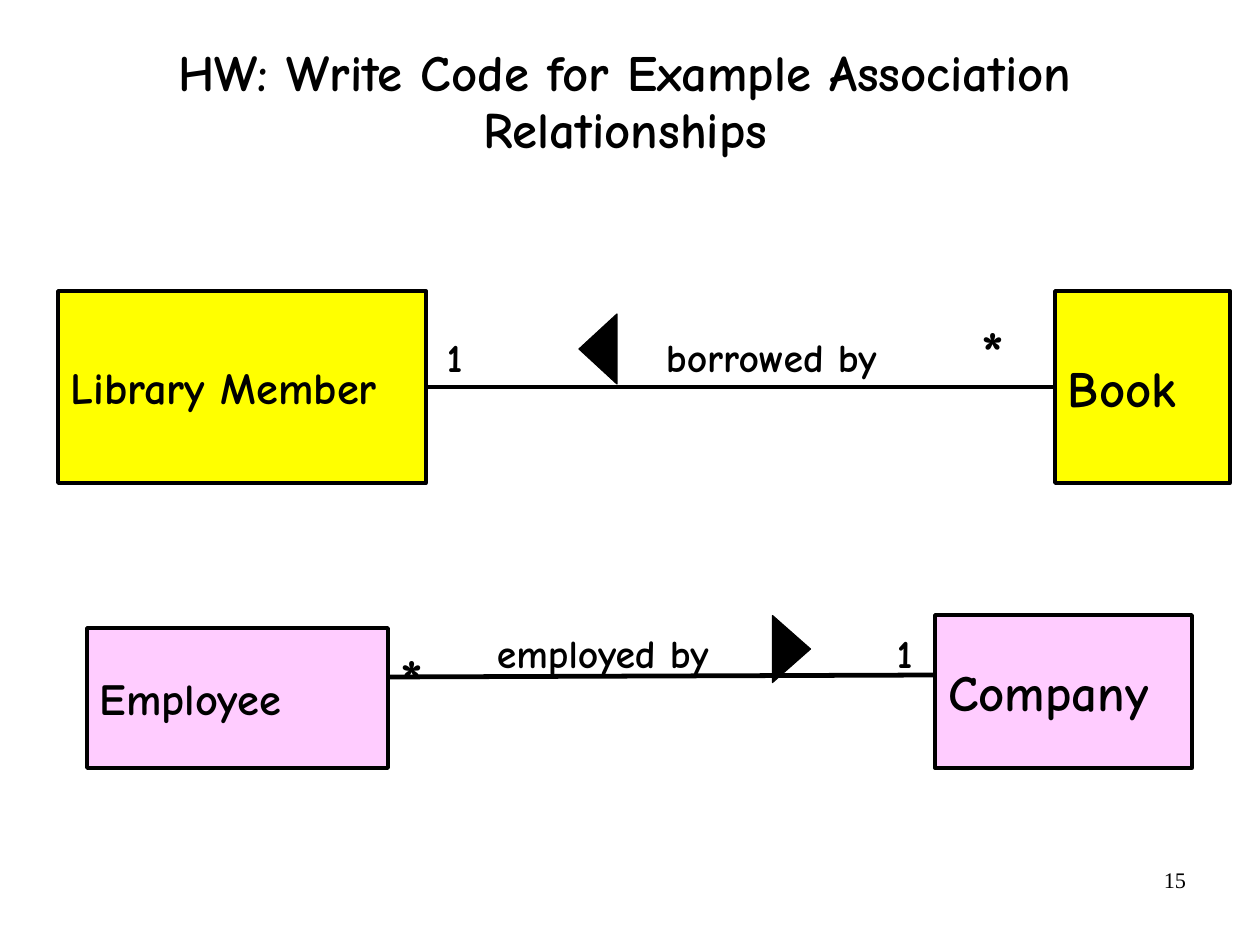
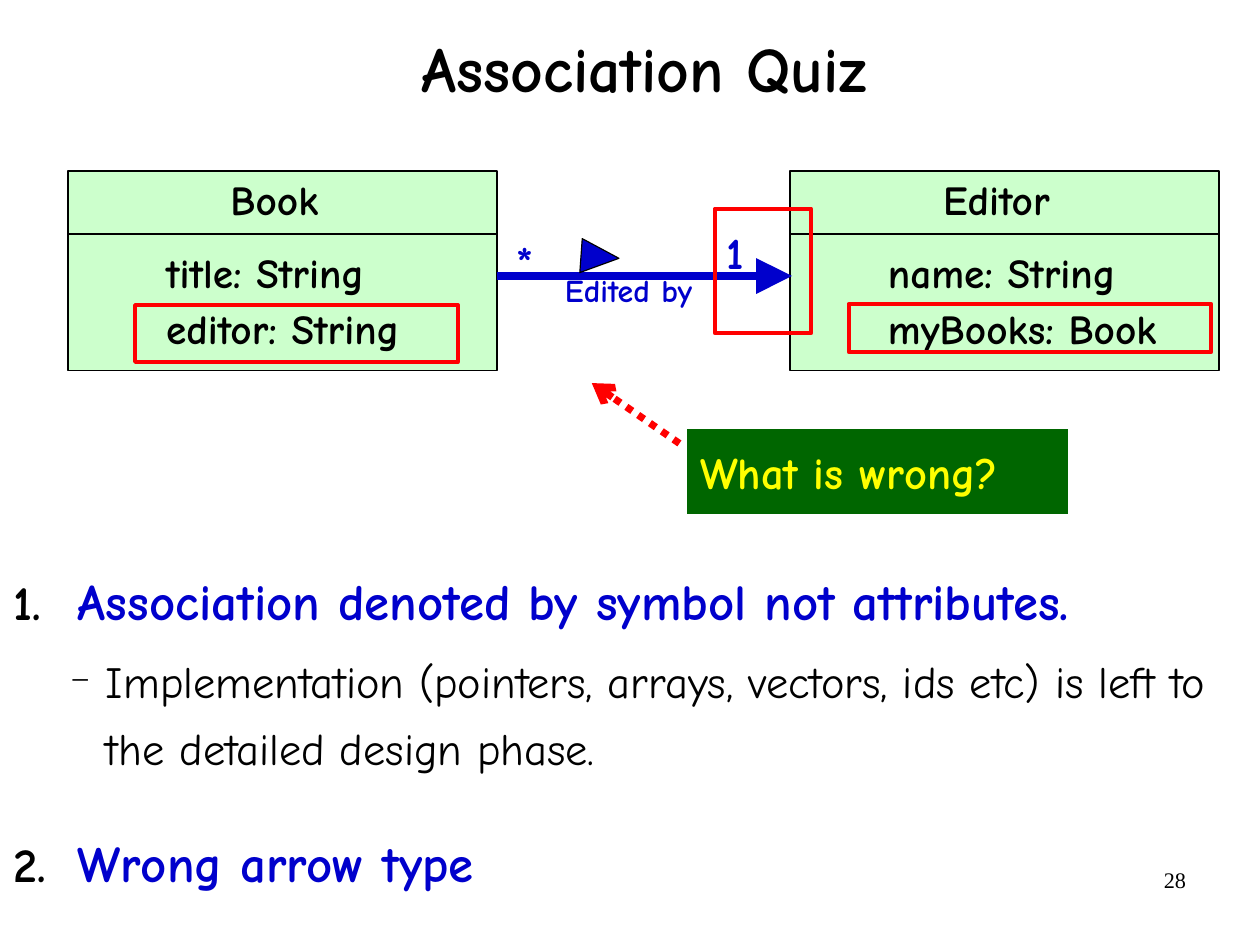
from dataclasses import dataclass
from typing import Optional

from lxml.etree import SubElement
from pptx import Presentation
from pptx.dml.color import RGBColor
from pptx.enum.dml import MSO_LINE
from pptx.enum.shapes import MSO_CONNECTOR, MSO_SHAPE
from pptx.enum.text import MSO_ANCHOR, PP_ALIGN
from pptx.oxml.ns import qn
from pptx.util import Emu, Pt

EMU_PER_PX = 8000
BLACK = RGBColor(0x00, 0x00, 0x00)
YELLOW = RGBColor(0xFF, 0xFF, 0x00)
PINK = RGBColor(0xFF, 0xCC, 0xFF)
MINT = RGBColor(0xCC, 0xFF, 0xCC)
BLUE = RGBColor(0x00, 0x00, 0xCC)
RED = RGBColor(0xFF, 0x00, 0x00)
DARK_GREEN = RGBColor(0x00, 0x66, 0x00)
HEADING_FONT = "Comic Neue"
NUMBER_FONT = "Times New Roman"
NO_INSET = (0, 0)
TIGHT_INSET = (11, 6)
BOX_INSET = (13, 7)


@dataclass(frozen=True)
class Box:
    left: int
    top: int
    width: int
    height: int


@dataclass(frozen=True)
class Style:
    size: float
    color: RGBColor = BLACK
    bold: bool = True
    font: str = HEADING_FONT
    align: PP_ALIGN = PP_ALIGN.LEFT
    spacing: float = 1.0


@dataclass(frozen=True)
class Label:
    text: str
    box: Box
    style: Style
    inset: tuple[int, int] = NO_INSET
    anchor: MSO_ANCHOR = MSO_ANCHOR.TOP


@dataclass(frozen=True)
class Block:
    box: Box
    fill: Optional[RGBColor]
    line: RGBColor = BLACK
    line_width: float = 0.75
    kind: MSO_SHAPE = MSO_SHAPE.RECTANGLE
    rotation: float = 0
    text: str = ""
    size: float = 28
    text_color: RGBColor = BLACK


@dataclass(frozen=True)
class Line:
    start: tuple[int, int]
    end: tuple[int, int]
    color: RGBColor = BLACK
    width: float = 0.75


@dataclass(frozen=True)
class UmlClass:
    left: int
    name: str
    attributes: tuple[str, ...]


@dataclass(frozen=True)
class Point:
    text: str
    style: Style
    level: int
    margin: int
    indent: int
    bullet: str
    bullet_size: int
    before: int = 0
    after: int = 0


MULTIPLICITY = Style(25)
MANY = Style(38)
MEMBER = Style(26)
BLUE_MARK = Style(28, BLUE, spacing=0.8)
NUMBERED = "arabicPeriod"


def px(value: int) -> Emu:
    return Emu(value * EMU_PER_PX)


def place(box: Box) -> tuple[Emu, Emu, Emu, Emu]:
    return px(box.left), px(box.top), px(box.width), px(box.height)


def style_paragraph(paragraph, style: Style) -> None:
    paragraph.alignment = style.align
    paragraph.line_spacing = style.spacing
    font = paragraph.font
    font.name = style.font
    font.size = Pt(style.size)
    font.bold = style.bold
    font.color.rgb = style.color


def set_frame(frame, inset: tuple[int, int], anchor: MSO_ANCHOR) -> None:
    frame.word_wrap = True
    frame.vertical_anchor = anchor
    frame.margin_left = frame.margin_right = px(inset[0])
    frame.margin_top = frame.margin_bottom = px(inset[1])


def write(frame, text: str, style: Style, inset: tuple[int, int], anchor: MSO_ANCHOR) -> None:
    set_frame(frame, inset, anchor)
    paragraph = frame.paragraphs[0]
    paragraph.text = text
    style_paragraph(paragraph, style)


def add_label(slide, label: Label) -> None:
    shape = slide.shapes.add_textbox(*place(label.box))
    write(shape.text_frame, label.text, label.style, label.inset, label.anchor)


def add_title(slide, text: str, box: Box, size: float, spacing: float) -> None:
    style = Style(size, align=PP_ALIGN.CENTER, spacing=spacing)
    add_label(slide, Label(text, box, style, anchor=MSO_ANCHOR.MIDDLE))


def add_slide(presentation, number: int):
    slide = presentation.slides.add_slide(presentation.slide_layouts[6])
    style = Style(14, bold=False, font=NUMBER_FONT, align=PP_ALIGN.RIGHT)
    add_label(slide, Label(str(number), Box(903, 860, 294, 65), style, TIGHT_INSET))
    return slide


def add_block(slide, block: Block):
    shape = slide.shapes.add_shape(block.kind, *place(block.box))
    shape.shadow.inherit = False
    shape.rotation = block.rotation
    if block.fill is None:
        shape.fill.background()
    else:
        shape.fill.solid()
        shape.fill.fore_color.rgb = block.fill
    shape.line.color.rgb = block.line
    shape.line.width = Pt(block.line_width)
    if block.text:
        style = Style(block.size, block.text_color)
        write(shape.text_frame, block.text, style, BOX_INSET, MSO_ANCHOR.MIDDLE)
    return shape


def add_line(slide, line: Line):
    connector = slide.shapes.add_connector(
        MSO_CONNECTOR.STRAIGHT, *map(px, line.start + line.end)
    )
    connector.line.color.rgb = line.color
    connector.line.width = Pt(line.width)
    SubElement(connector.element.spPr, qn("a:effectLst"))
    return connector


def add_arrowhead(shape, kind: str, size: str = "med") -> None:
    outline = shape.element.spPr.find(qn("a:ln"))
    SubElement(outline, qn("a:tailEnd"), type=kind, w=size, len=size)


def add_uml_class(slide, uml: UmlClass) -> None:
    add_block(slide, Block(Box(uml.left, 171, 429, 200), MINT))
    header = Style(26, align=PP_ALIGN.CENTER)
    add_label(slide, Label(uml.name, Box(uml.left, 167, 413, 63), header, BOX_INSET))
    for row, attribute in enumerate(uml.attributes):
        box = Box(uml.left + 85, 240 + 56 * row, 320, 63)
        add_label(slide, Label(attribute, box, MEMBER, BOX_INSET))
    add_line(slide, Line((uml.left, 234), (uml.left + 430, 234)))


def add_points(slide, box: Box, points: list[Point]) -> None:
    frame = slide.shapes.add_textbox(*place(box)).text_frame
    set_frame(frame, NO_INSET, MSO_ANCHOR.TOP)
    for index, point in enumerate(points):
        paragraph = frame.add_paragraph() if index else frame.paragraphs[0]
        paragraph.text = point.text
        paragraph.level = point.level
        properties = paragraph._p.get_or_add_pPr()
        properties.set("marL", str(px(point.margin)))
        properties.set("indent", str(px(point.indent)))
        color = SubElement(properties, qn("a:buClr"))
        SubElement(color, qn("a:srgbClr"), val=str(BLACK))
        SubElement(properties, qn("a:buSzPct"), val=str(point.bullet_size * 1000))
        if point.bullet == NUMBERED:
            SubElement(properties, qn("a:buAutoNum"), type=NUMBERED)
        else:
            SubElement(properties, qn("a:buFont"), typeface=NUMBER_FONT)
            SubElement(properties, qn("a:buChar"), char=point.bullet)
        paragraph.space_before = Pt(point.before)
        paragraph.space_after = Pt(point.after)
        style_paragraph(paragraph, point.style)


def build_homework(presentation) -> None:
    slide = add_slide(presentation, 15)
    add_title(slide, "HW: Write Code for Example Association Relationships",
              Box(40, 0, 1171, 206), 32, 0.94)
    member, book, _, _ = [
        add_block(slide, Block(box, fill, line_width=2.25, text=text, size=size))
        for text, box, fill, size in (
            ("Library Member", Box(58, 291, 368, 192), YELLOW, 28),
            ("Book", Box(1055, 291, 175, 192), YELLOW, 32),
            ("Employee", Box(87, 628, 301, 140), PINK, 28),
            ("Company", Box(935, 615, 257, 153), PINK, 32),
        )
    ]
    borrowing = add_line(slide, Line((426, 387), (1055, 387), width=3))
    borrowing.begin_connect(member, 3)
    borrowing.end_connect(book, 1)
    add_line(slide, Line((388, 677), (935, 675), width=3))
    for box, rotation in ((Box(563, 330, 70, 38), 270), (Box(758, 630, 67, 38), 90)):
        add_block(slide, Block(box, BLACK, kind=MSO_SHAPE.ISOSCELES_TRIANGLE,
                               rotation=rotation))
    for text, box, style in (
        ("1", Box(447, 333, 24, 48), MULTIPLICITY),
        ("*", Box(981, 314, 32, 72), MANY),
        ("borrowed by", Box(666, 333, 271, 48), MULTIPLICITY),
        ("1", Box(897, 629, 24, 48), MULTIPLICITY),
        ("*", Box(401, 642, 32, 72), MANY),
        ("employed by", Box(497, 629, 271, 48), MULTIPLICITY),
    ):
        add_label(slide, Label(text, box, style))


def build_quiz(presentation) -> None:
    slide = add_slide(presentation, 28)
    add_title(slide, "Association Quiz", Box(107, 0, 1074, 145), 40, 0.88)
    add_points(slide, Box(0, 558, 1260, 286), [
        Point("Association denoted by symbol not attributes.",
              Style(32, BLUE, spacing=1.2), 0, 78, -64, NUMBERED, 95),
        Point("Implementation (pointers, arrays, vectors, ids etc) is left to "
              "the detailed design phase.",
              Style(28, bold=False, spacing=1.25), 1, 106, -35, "−", 75, 6, 15),
        Point("Wrong arrow type",
              Style(32, BLUE, spacing=1.25), 0, 78, -64, NUMBERED, 95, 12, 15),
    ])
    callout = add_block(slide, Block(
        Box(687, 429, 381, 85), DARK_GREEN, RED, 4.5,
        MSO_SHAPE.LINE_CALLOUT_1_NO_BORDER,
        text="What is wrong?", text_color=YELLOW,
    ))
    for index, value in enumerate((0.17, -0.02, -0.54, -0.25)):
        callout.adjustments[index] = value
    callout.line.dash_style = MSO_LINE.ROUND_DOT
    add_arrowhead(callout, "arrow")
    for uml in (
        UmlClass(68, "Book", ("title: String", "editor: String")),
        UmlClass(790, "Editor", ("name: String", "myBooks: Book")),
    ):
        add_uml_class(slide, uml)
    edited_by = add_line(slide, Line((497, 276), (792, 276), BLUE, 4.5))
    add_arrowhead(edited_by, "triangle", "lg")
    for text, box, style in (
        ("*", Box(506, 238, 47, 54), BLUE_MARK),
        ("1", Box(716, 229, 50, 54), BLUE_MARK),
        ("Edited by", Box(554, 272, 294, 42), Style(20, BLUE, spacing=0.8)),
    ):
        add_label(slide, Label(text, box, style, TIGHT_INSET))
    for box, width in (
        (Box(135, 305, 323, 57), 2.25),
        (Box(849, 304, 362, 48), 3),
        (Box(715, 209, 96, 124), 3),
    ):
        add_block(slide, Block(box, None, RED, width))
    add_block(slide, Block(Box(583, 238, 34, 38), BLUE,
                           kind=MSO_SHAPE.ISOSCELES_TRIANGLE, rotation=94.1))


def main() -> None:
    presentation = Presentation()
    presentation.slide_width = px(1260)
    presentation.slide_height = px(945)
    build_homework(presentation)
    build_quiz(presentation)
    presentation.save("out.pptx")


if __name__ == "__main__":
    main()
